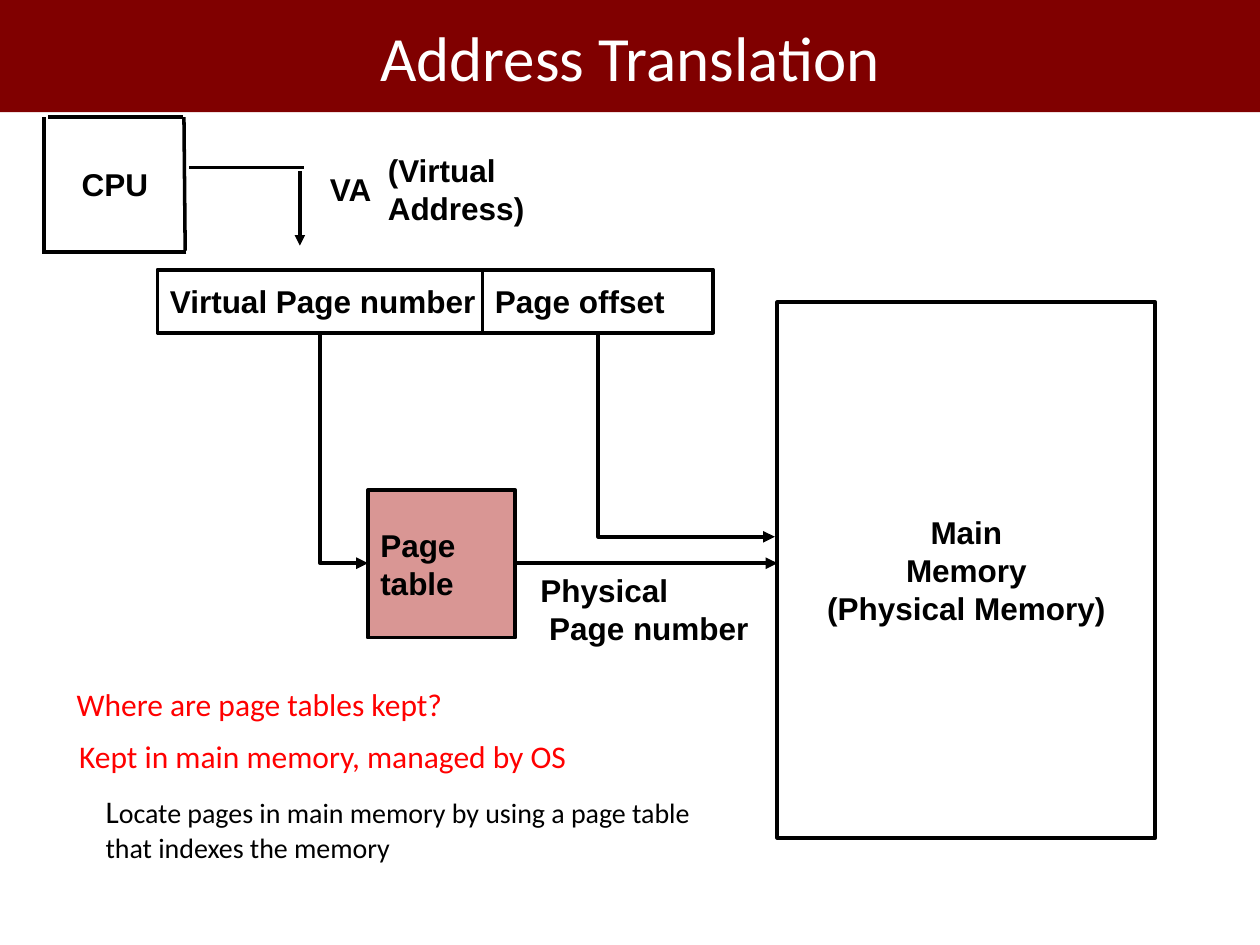
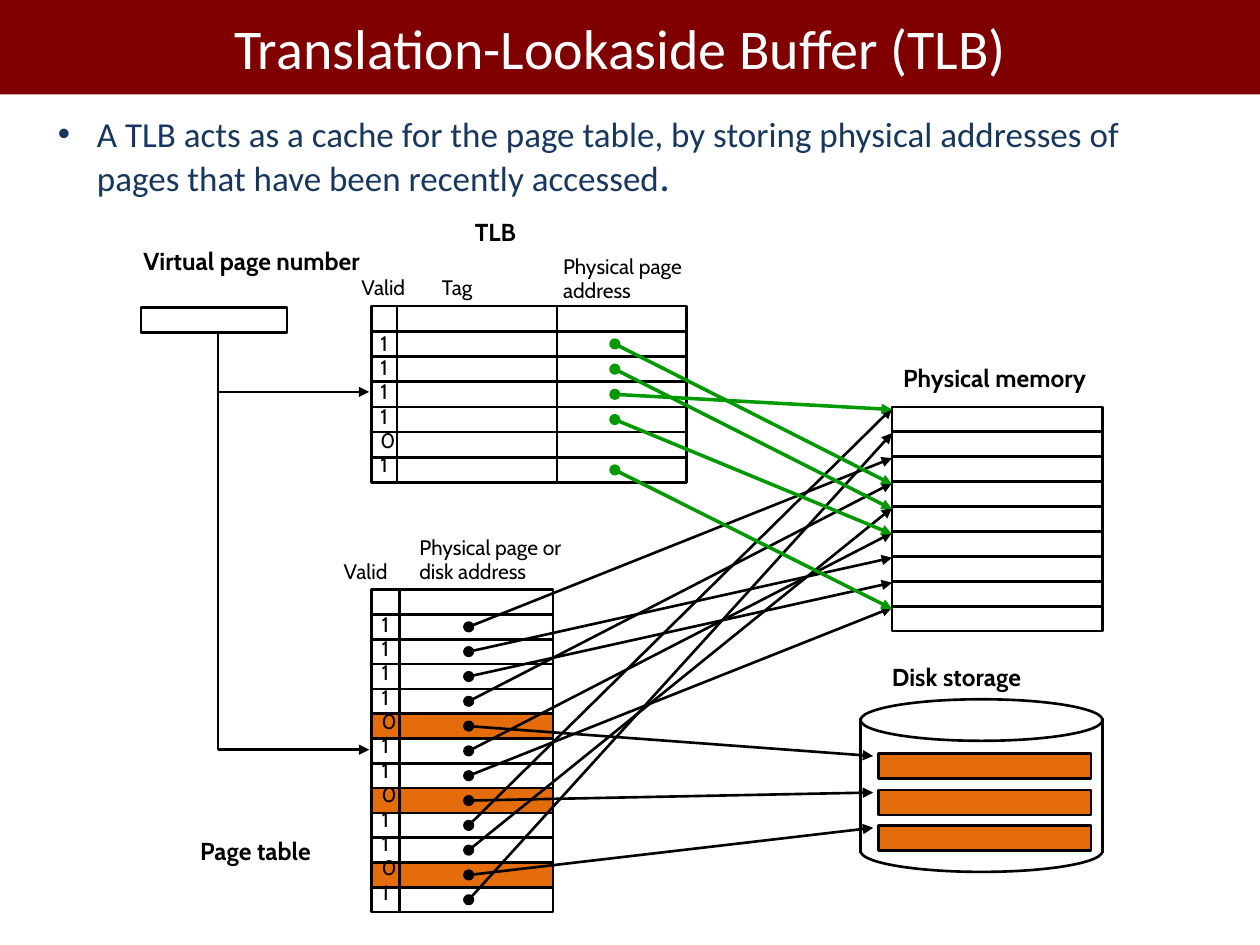
from pptx import Presentation
from pptx.dml.color import RGBColor
from pptx.enum.shapes import MSO_CONNECTOR, MSO_SHAPE
from pptx.enum.text import MSO_ANCHOR, MSO_AUTO_SIZE, PP_ALIGN
from pptx.oxml.ns import qn
from pptx.util import Inches, Pt
from lxml import etree

STRAIGHT, ELBOW = MSO_CONNECTOR.STRAIGHT, MSO_CONNECTOR.ELBOW
RECTANGLE, OVAL = MSO_SHAPE.RECTANGLE, MSO_SHAPE.OVAL
TOP, MIDDLE = MSO_ANCHOR.TOP, MSO_ANCHOR.MIDDLE
LEFT, CENTER = PP_ALIGN.LEFT, PP_ALIGN.CENTER

MAROON = RGBColor(0x80, 0x00, 0x00)
WHITE = RGBColor(0xFF, 0xFF, 0xFF)
BLACK = RGBColor(0x00, 0x00, 0x00)
RED = RGBColor(0xFF, 0x00, 0x00)
PINK = RGBColor(0xD9, 0x96, 0x94)
NAVY = RGBColor(0x17, 0x37, 0x5E)
ORANGE = RGBColor(0xE4, 0x6C, 0x0A)
GREEN = RGBColor(0x00, 0x99, 0x00)

SLIDE_WIDTH, SLIDE_HEIGHT = 10, 7.5
TITLE_ONLY, TITLE_AND_BODY = 5, 1

# ---- Content: address translation ----
# Box: lines, (left, top, width, height), fill, alignment
TRANSLATION_BOXES = [
    (["Virtual Page number"], (1.25, 2.14, 2.58, 0.5), None, LEFT),
    (["Page offset"], (3.83, 2.14, 1.83, 0.5), None, LEFT),
    (["Page", "table"], (2.92, 3.89, 1.17, 1.17), PINK, LEFT),
    (["Main", "Memory", "(Physical Memory)"], (6.17, 2.4, 3, 4.25), None, CENTER),
]
# Line: start, end, width, arrow
TRANSLATION_LINES = [
    ((0.38, 0.93), (1.45, 0.93), 2, False),
    ((1.46, 0.93), (1.47, 1.99), 2, False),
    ((1.48, 2), (0.33, 2), 2, False),
    ((0.35, 0.93), (0.35, 1.99), 2, False),
    ((2.41, 1.33), (1.5, 1.33), 2, False),
    ((2.38, 1.36), (2.38, 1.95), 2, True),
    ((4.08, 4.47), (6.17, 4.47), 2.25, True),
]
# Elbow: start, end; each goes down, then right
TRANSLATION_ELBOWS = [((4.75, 2.64), (6.15, 4.26)), ((2.54, 2.64), (2.92, 4.47))]
# Label: lines, (left, top, width, height)
ADDRESS_LABELS = [
    (["CPU"], (0.55, 1.26, 0.8, 0.4)),
    (["VA"], (2.52, 1.3, 0.6, 0.4)),
    (["(Virtual", "Address)"], (2.98, 1.15, 2.2, 0.7)),
    (["Physical", " Page number"], (4.19, 4.48, 1.95, 0.7)),
]
QUESTION_LABELS = [
    (["Where are page tables kept?"], (0.51, 5.39, 3.3, 0.4), RED),
    (["Kept in main memory, managed by OS"], (0.53, 5.8, 4.3, 0.4), RED),
    ([[("L", 18), ("ocate pages in main memory by using a page table", 16)],
      [("that indexes the memory", 16)]], (0.74, 6.24, 5.1, 0.67), BLACK),
]

# ---- Content: translation-lookaside buffer ----
TLB_SUMMARY = [[("A TLB acts as a cache for the page table, by storing physical "
                 "addresses of pages that have been recently accessed", 20), (".", 24)]]
# Each entry names the memory page it points to; None is an invalid entry
TLB_ENTRIES = [3, 4, 0, 5, None, 8]
# Each entry is a place and the number of its memory page or disk block
PAGE_ENTRIES = [("memory", 2), ("memory", 6), ("memory", 7), ("memory", 3),
                ("disk", 0), ("memory", 5), ("memory", 8), ("disk", 1),
                ("memory", 0), ("memory", 4), ("disk", 2), ("memory", 1)]
# Grid: left, top, width, height, rows
TLB_GRID = (2.95, 2.43, 2.5, 1.4, 7)
PAGE_GRID = (2.95, 4.68, 1.44, 2.56, 13)
MEMORY_GRID = (7.08, 3.23, 1.67, 1.78, 9)
DISK_LEFT, DISK_RIGHT, DISK_RIM = 6.83, 8.75, 0.33
DISK_RIM_TOPS = [6.59, 5.55]
DISK_SIDE_TOP, DISK_SIDE_BOTTOM = 5.7, 6.77
DISK_BLOCK_TOPS = [5.98, 6.27, 6.55]
DISK_BLOCK_LEFT, DISK_BLOCK_WIDTH, BLOCK_HEIGHT = 6.97, 1.69, 0.2
TLB_DOT_X, PAGE_DOT_X = 4.88, 3.72
TRUNK_X, TLB_FEED_Y, PAGE_FEED_Y = 1.73, 3.11, 5.95
HEADINGS = [
    ("Virtual page number", (1.04, 1.94, 2, 0.3)),
    ("TLB", (3.67, 1.71, 0.75, 0.3)),
    ("Page table", (1.49, 6.62, 1.58, 0.3)),
    ("Physical memory", (7.07, 2.87, 2.15, 0.3)),
    ("Disk storage", (6.98, 5.24, 1.69, 0.3)),
]
# Caption: lines, area, line spacing
CAPTIONS = [
    (["Valid"], (2.77, 2.13, 0.6, 0.3), 1),
    (["Tag"], (3.41, 2.13, 0.6, 0.3), 1),
    (["Physical page", "address"], (4.37, 2, 1.21, 0.45), 0.8),
    (["Valid"], (2.63, 4.38, 0.57, 0.3), 1),
    (["Physical page or", "disk address"], (3.23, 4.23, 1.79, 0.45), 0.8),
]


# ---- Shared helpers ----
def inches(values):
    return [Inches(value) for value in values]


def write_text(frame, lines, font, size, color=BLACK, bold=False, align=LEFT,
               anchor=TOP, spacing=1, gap=0):
    """Fill a frame; a line is a string or a list of (text, size) spans."""
    frame.word_wrap = True
    frame.auto_size = MSO_AUTO_SIZE.NONE
    frame.vertical_anchor = anchor
    frame.margin_left = Inches(0.1)
    frame.margin_right = Inches(0.1 if align == CENTER else 0)
    for index, line in enumerate(lines):
        para = frame.paragraphs[0] if index == 0 else frame.add_paragraph()
        para.alignment = align
        para.line_spacing = spacing
        para.space_before = Pt(gap if index else 0)
        para.font.name, para.font.size = font, Pt(size)
        para.font.bold, para.font.color.rgb = bold, color
        if isinstance(line, str):
            para.text = line
            continue
        for text, span_size in line:
            span = para.add_run()
            span.text = text
            span.font.size = Pt(span_size)


def add_label(page, lines, area, font, size, **style):
    box = page.shapes.add_textbox(*inches(area))
    write_text(box.text_frame, lines, font, size, **style)


def add_box(page, area, kind=RECTANGLE, fill=None, line=BLACK, weight=1.5):
    box = page.shapes.add_shape(kind, *inches(area))
    box.shadow.inherit = False
    if fill is None:
        box.fill.background()
    else:
        box.fill.solid()
        box.fill.fore_color.rgb = fill
    box.line.color.rgb = line
    box.line.width = Pt(weight)
    return box


def add_line(page, start, end, color=BLACK, weight=1.5, arrow=False, kind=STRAIGHT):
    link = page.shapes.add_connector(kind, *inches(start + end))
    link.line.color.rgb = color
    link.line.width = Pt(weight)
    if arrow:
        etree.SubElement(link.line._get_or_add_ln(), qn("a:tailEnd"), type="triangle")
    etree.SubElement(link._element.spPr, qn("a:effectLst"))
    return link


def add_elbow(page, start, end, weight):
    """Go down, then right: a one-bend connector turned by 270 degrees and flipped."""
    middle_x, middle_y = (start[0] + end[0]) / 2, (start[1] + end[1]) / 2
    half_width, half_height = (end[1] - start[1]) / 2, (end[0] - start[0]) / 2
    link = add_line(page, (middle_x - half_width, middle_y - half_height),
                    (middle_x + half_width, middle_y + half_height),
                    weight=weight, arrow=True, kind=ELBOW)
    properties = link._element.spPr
    properties.find(qn("a:prstGeom")).set("prst", "bentConnector2")
    frame = properties.find(qn("a:xfrm"))
    frame.set("rot", str(270 * 60000))
    frame.set("flipH", "1")


def add_dot(page, x, y, color):
    size = 0.06
    add_box(page, (x - size / 2, y - size / 2, size, size), OVAL, color, color, 2)


def add_page(deck, layout, title, band_height, size, right_inset=0.1):
    page = deck.slides.add_slide(deck.slide_layouts[layout])
    page.background.fill.solid()
    page.background.fill.fore_color.rgb = WHITE
    band = page.shapes.title
    band.left, band.top, band.width, band.height = inches((0, 0, SLIDE_WIDTH, band_height))
    band.fill.solid()
    band.fill.fore_color.rgb = MAROON
    write_text(band.text_frame, [title], "Calibri", size, WHITE, align=CENTER, anchor=MIDDLE)
    band.text_frame.margin_right = Inches(right_inset)
    return page


def row_top(grid, row):
    return grid[1] + grid[3] / grid[4] * row


def add_rows(page, grid, filled=()):
    left, _, width, height, count = grid
    for row in range(count):
        add_box(page, (left, row_top(grid, row), width, height / count),
                fill=ORANGE if row in filled else None)


def add_divider(page, grid, x):
    add_line(page, (x, grid[1]), (x, grid[1] + grid[3]))


def add_valid_bits(page, bits, area):
    add_label(page, bits, area, "Cabin", 12, spacing=0.8, gap=2.4)


# ---- Slides ----
def build_translation(deck):
    page = add_page(deck, TITLE_ONLY, "Address Translation", 0.89, 36)
    for lines, area, fill, align in TRANSLATION_BOXES:
        box = add_box(page, area, fill=fill, weight=2.25)
        write_text(box.text_frame, lines, "Arial", 18, bold=True, align=align, anchor=MIDDLE)
    for start, end, weight, arrow in TRANSLATION_LINES:
        add_line(page, start, end, weight=weight, arrow=arrow)
    for start, end in TRANSLATION_ELBOWS:
        add_elbow(page, start, end, 2.25)
    for lines, area in ADDRESS_LABELS:
        add_label(page, lines, area, "Arial", 18, bold=True, anchor=MIDDLE)
    for lines, area, color in QUESTION_LABELS:
        add_label(page, lines, area, "Calibri", 18, color=color)


def add_summary(page):
    body = page.placeholders[1]
    body.left, body.top, body.width, body.height = inches((0.36, 0.88, 9.2, 0.83))
    properties = body.text_frame.paragraphs[0]._p.get_or_add_pPr()
    properties.set("marL", str(Inches(0.31)))
    properties.set("indent", str(Inches(-0.31)))
    bullet_color = etree.SubElement(properties, qn("a:buClr"))
    etree.SubElement(bullet_color, qn("a:srgbClr"), val=str(NAVY))
    etree.SubElement(properties, qn("a:buFont"), typeface="Arial")
    etree.SubElement(properties, qn("a:buChar"), char="•")
    write_text(body.text_frame, TLB_SUMMARY, "Calibri", 20, NAVY, spacing=0.9)


def add_disk(page):
    for top in DISK_RIM_TOPS:
        add_box(page, (DISK_LEFT, top, DISK_RIGHT - DISK_LEFT, DISK_RIM), OVAL)
    for x in (DISK_LEFT, DISK_RIGHT):
        add_line(page, (x, DISK_SIDE_TOP), (x, DISK_SIDE_BOTTOM))
    # White cover over the back half of the lower rim
    add_box(page, (6.85, 6.42, 1.88, 0.33), fill=WHITE, line=WHITE)
    for top in DISK_BLOCK_TOPS:
        add_box(page, (DISK_BLOCK_LEFT, top, DISK_BLOCK_WIDTH, BLOCK_HEIGHT), fill=ORANGE)


def build_tlb(deck):
    page = add_page(deck, TITLE_AND_BODY, "Translation-Lookaside Buffer (TLB)",
                    0.75, 32, right_inset=0.25)
    add_summary(page)

    # Disk, memory and the two tables
    add_disk(page)
    add_rows(page, MEMORY_GRID)
    on_disk = [row for row, (place, _) in enumerate(PAGE_ENTRIES, 1) if place == "disk"]
    add_rows(page, PAGE_GRID, on_disk)
    add_divider(page, PAGE_GRID, 3.17)
    add_rows(page, TLB_GRID)
    for x in (3.15, 4.42):
        add_divider(page, TLB_GRID, x)
    add_valid_bits(page, ["0" if place == "disk" else "1" for place, _ in PAGE_ENTRIES],
                   (2.93, 4.84, 0.5, 2.39))
    add_valid_bits(page, ["0" if entry is None else "1" for entry in TLB_ENTRIES],
                   (2.92, 2.61, 0.5, 1.23))

    # Virtual page number feeding both tables
    add_box(page, (1.12, 2.44, 1.16, 0.2))
    add_line(page, (TRUNK_X, 2.65), (TRUNK_X, PAGE_FEED_Y))
    for y in (PAGE_FEED_Y, TLB_FEED_Y):
        add_line(page, (TRUNK_X, y), (PAGE_GRID[0] - 0.02, y), arrow=True)

    # Pointers from the entries
    for row, (place, number) in enumerate(PAGE_ENTRIES, 1):
        y = row_top(PAGE_GRID, row + 0.5)
        if place == "memory":
            target = (MEMORY_GRID[0], row_top(MEMORY_GRID, number) + 0.01)
        else:
            target = (DISK_BLOCK_LEFT - 0.04, DISK_BLOCK_TOPS[number] + 0.02)
        add_dot(page, PAGE_DOT_X, y, BLACK)
        add_line(page, (PAGE_DOT_X, y), target, arrow=True)
    for row, number in enumerate(TLB_ENTRIES, 1):
        if number is None:
            continue
        y = row_top(TLB_GRID, row + 0.5)
        target = (MEMORY_GRID[0], row_top(MEMORY_GRID, number) + 0.02)
        add_dot(page, TLB_DOT_X, y, GREEN)
        add_line(page, (TLB_DOT_X, y), target, GREEN, 2, arrow=True)

    # Headings and captions
    for text, area in HEADINGS:
        add_label(page, [text], area, "Cabin", 14, bold=True, spacing=0.85)
    for lines, area, spacing in CAPTIONS:
        add_label(page, lines, area, "Cabin", 12, spacing=spacing, gap=2.4)


def main():
    deck = Presentation()
    deck.slide_width, deck.slide_height = inches((SLIDE_WIDTH, SLIDE_HEIGHT))
    build_translation(deck)
    build_tlb(deck)
    deck.save("out.pptx")


if __name__ == "__main__":
    main()
